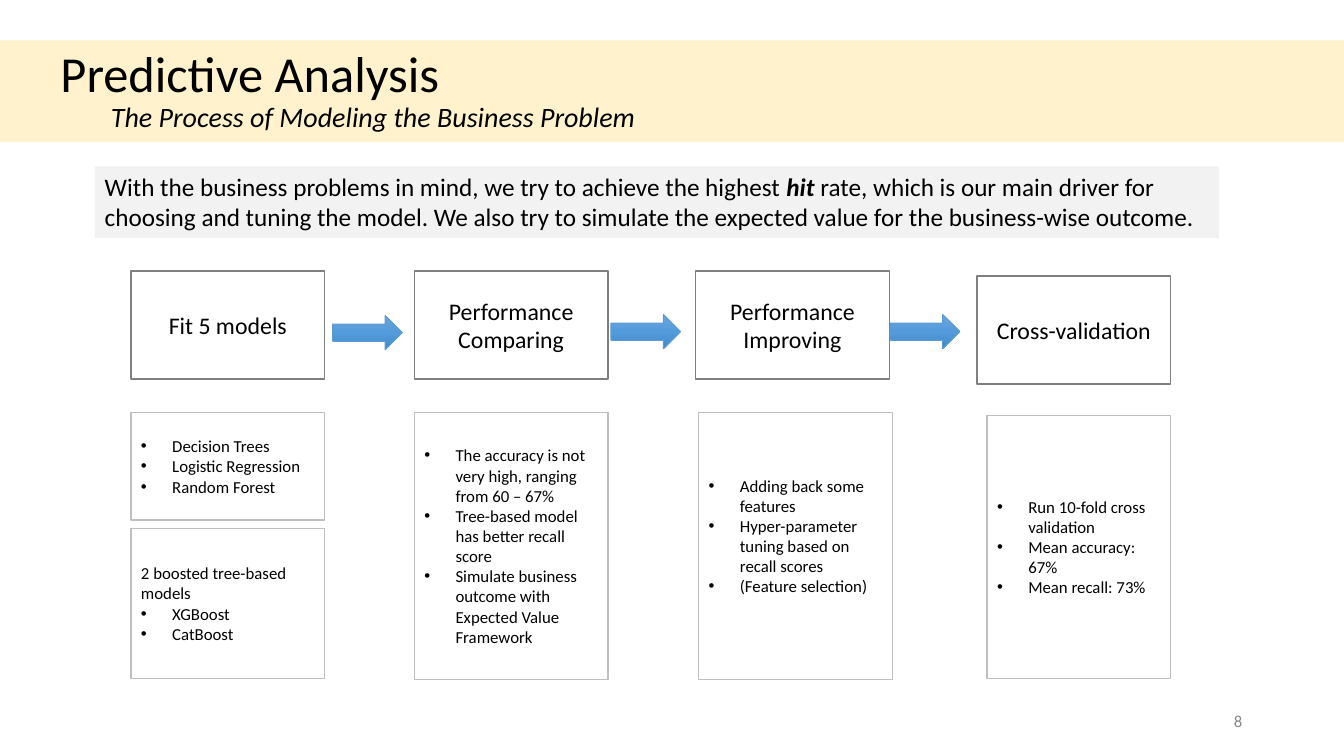
from copy import deepcopy
from dataclasses import dataclass

from lxml import etree
from pptx import Presentation
from pptx import util as u
from pptx.dml.color import RGBColor
from pptx.enum import shapes, text
from pptx.oxml.ns import qn


@dataclass(frozen=True)
class Theme:
    font: str = "Calibri"
    ink: str = "000000"
    band: str = "FFF2CC"
    panel: str = "F2F2F2"
    paper: str = "FFFFFF"
    step_line: str = "7F7F7F"
    detail_line: str = "BFBFBF"
    arrow_line: str = "5B9BD5"
    arrow_stops: tuple = ((0, "70A5DA"), (0.5, "539BDB"), (1, "4288C8"))
    number: str = "888888"
    title_size: int = 36
    subtitle_size: int = 20
    intro_size: int = 18
    step_size: int = 17
    small_size: int = 12


def apply(obj, **values):
    for name, value in values.items():
        setattr(obj, name, value)


class Deck:
    def __init__(self, theme):
        self.theme = theme
        self.prs = Presentation()
        apply(self.prs, slide_width=u.Inches(13.33), slide_height=u.Inches(7.5))
        self.s = self.prs.slides.add_slide(self.prs.slide_layouts[5])

    def frame(self, sp, anchor=text.MSO_ANCHOR.MIDDLE, bottom=0.05):
        tf = sp.text_frame
        apply(tf, word_wrap=True, auto_size=text.MSO_AUTO_SIZE.NONE,
              vertical_anchor=anchor,
              margin_left=u.Inches(0.1), margin_right=u.Inches(0.1),
              margin_top=u.Inches(0.05), margin_bottom=u.Inches(bottom))
        return tf

    def indent(self, p, left, first=0):
        pPr = p._p.get_or_add_pPr()
        pPr.set("marL", str(u.Inches(left)))
        pPr.set("indent", str(u.Inches(first)))
        return pPr

    def bullet(self, p):
        pPr = self.indent(p, 0.31, -0.31)
        clr = etree.SubElement(pPr, qn("a:buClr"))
        etree.SubElement(clr, qn("a:srgbClr"), val=self.theme.ink)
        etree.SubElement(pPr, qn("a:buFont"), typeface="Arial")
        etree.SubElement(pPr, qn("a:buChar"), char="•")

    def run(self, p, words, size, color=None, **style):
        r = p.add_run()
        r.text = words
        apply(r.font, name=self.theme.font, size=u.Pt(size), **style)
        r.font.color.rgb = RGBColor.from_string(color or self.theme.ink)

    def paragraph(self, tf, index, align=text.PP_ALIGN.LEFT):
        p = tf.add_paragraph() if index else tf.paragraphs[0]
        p.alignment = align
        return p

    def shape(self, kind, area, fill=None, line=None, width=1):
        sp = self.s.shapes.add_shape(kind, *map(u.Inches, area))
        sp.shadow.inherit = False
        if fill:
            sp.fill.solid()
            sp.fill.fore_color.rgb = RGBColor.from_string(fill)
        if line:
            sp.line.color.rgb = RGBColor.from_string(line)
            sp.line.width = u.Pt(width)
        else:
            sp.line.fill.background()
        return sp

    def title(self, area, heading, subtitle):
        sp = self.s.shapes.title
        apply(sp, **dict(zip(("left", "top", "width", "height"), map(u.Inches, area))))
        sp.fill.solid()
        sp.fill.fore_color.rgb = RGBColor.from_string(self.theme.band)
        tf = self.frame(sp)
        lines = ((heading, self.theme.title_size, 0.5, False),
                 (subtitle, self.theme.subtitle_size, 1, True))
        for i, (words, size, left, italic) in enumerate(lines):
            p = self.paragraph(tf, i)
            p.line_spacing = 0.9
            self.indent(p, left)
            self.run(p, words, size, italic=italic)

    def intro(self, area, runs):
        sp = self.shape(shapes.MSO_SHAPE.RECTANGLE, area, self.theme.panel)
        p = self.paragraph(self.frame(sp, text.MSO_ANCHOR.TOP), 0)
        for words, strong in runs:
            self.run(p, words, self.theme.intro_size, bold=strong, italic=strong)

    def step(self, area, words):
        sp = self.shape(shapes.MSO_SHAPE.RECTANGLE, area, self.theme.paper, self.theme.step_line)
        p = self.paragraph(self.frame(sp), 0, text.PP_ALIGN.CENTER)
        self.run(p, words, self.theme.step_size)

    def details(self, area, items, lead=None, bottom=0.05):
        sp = self.shape(shapes.MSO_SHAPE.RECTANGLE, area, self.theme.paper, self.theme.detail_line)
        tf = self.frame(sp, bottom=bottom)
        for i, words in enumerate(([lead] if lead else []) + items):
            p = self.paragraph(tf, i)
            if words != lead:
                self.bullet(p)
            self.run(p, words, self.theme.small_size)

    def arrow(self, area):
        sp = self.shape(shapes.MSO_SHAPE.RIGHT_ARROW, area, line=self.theme.arrow_line, width=0.75)
        sp.fill.gradient()
        sp.fill.gradient_angle = 270
        first = sp._element.spPr.find(".//" + qn("a:gs"))
        first.addnext(deepcopy(first))
        for stop, (position, color) in zip(sp.fill.gradient_stops, self.theme.arrow_stops):
            stop.position = position
            stop.color.rgb = RGBColor.from_string(color)

    def page_number(self, area, number):
        sp = self.s.shapes.add_textbox(*map(u.Inches, area))
        p = self.paragraph(self.frame(sp), 0, text.PP_ALIGN.RIGHT)
        self.run(p, number, self.theme.small_size, self.theme.number)


def main():
    deck = Deck(Theme())

    # Heading band and introduction
    deck.title((0, 0.4, 13.33, 1.01), "Predictive Analysis",
               "The Process of Modeling the Business Problem")
    deck.intro((0.94, 1.65, 11.15, 0.71), (
        ("With the business problems in mind, we try to achieve the highest ", False),
        ("hit ", True),
        ("rate, which is our main driver for choosing and tuning the model. "
         "We also try to simulate the expected value for the business-wise outcome.", False)))

    # Process steps and the arrows between them
    for left, top, words in ((1.3, 2.69, "Fit 5 models"),
                             (4.11, 2.69, "Performance Comparing"),
                             (6.9, 2.69, "Performance Improving"),
                             (9.69, 2.74, "Cross-validation")):
        deck.step((left, top, 1.92, 1.07), words)
    for left, top in ((3.3, 3.13), (6.06, 3.12), (8.83, 3.12)):
        deck.arrow((left, top, 0.69, 0.34))

    # Details under each step
    deck.details((1.3, 4.09, 1.92, 1.07),
                 ["Decision Trees", "Logistic Regression", "Random Forest"])
    deck.details((1.3, 5.24, 1.92, 1.49), ["XGBoost", "CatBoost"],
                 lead="2 boosted tree-based models")
    deck.details((4.11, 4.09, 1.92, 2.65),
                 ["The accuracy is not very high, ranging from 60 – 67%",
                  "Tree-based model has better recall score",
                  "Simulate business outcome with Expected Value Framework"])
    deck.details((6.93, 4.09, 1.92, 2.65),
                 ["Adding back some features",
                  "Hyper-parameter tuning based on recall scores",
                  "(Feature selection)"], bottom=0.25)
    deck.details((9.79, 4.12, 1.82, 2.61),
                 ["Run 10-fold cross validation", "Mean accuracy: 67%", "Mean recall: 73%"])

    # Footer
    deck.page_number((9.42, 6.95, 3, 0.4), "8")
    deck.prs.save("out.pptx")


if __name__ == "__main__":
    main()
